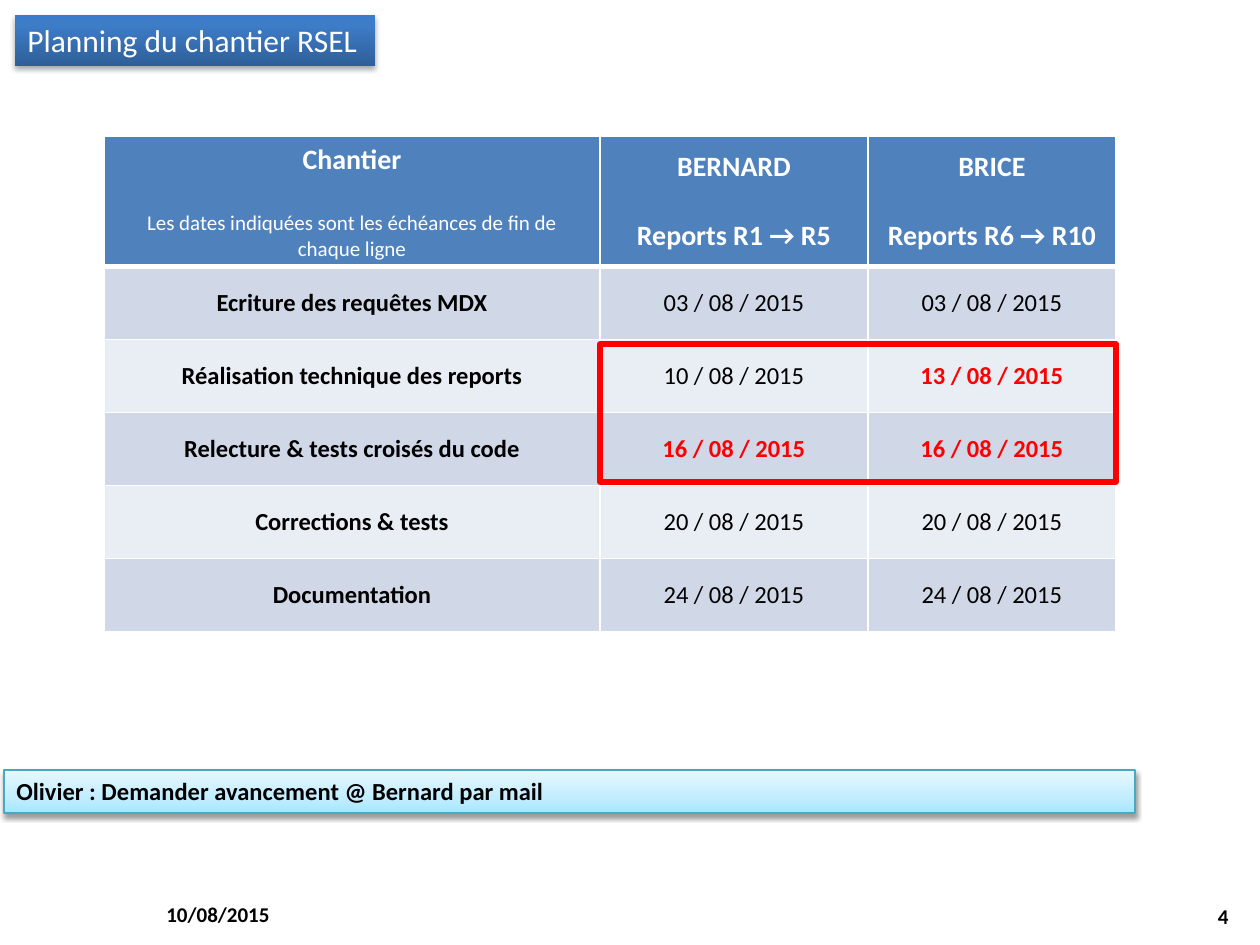
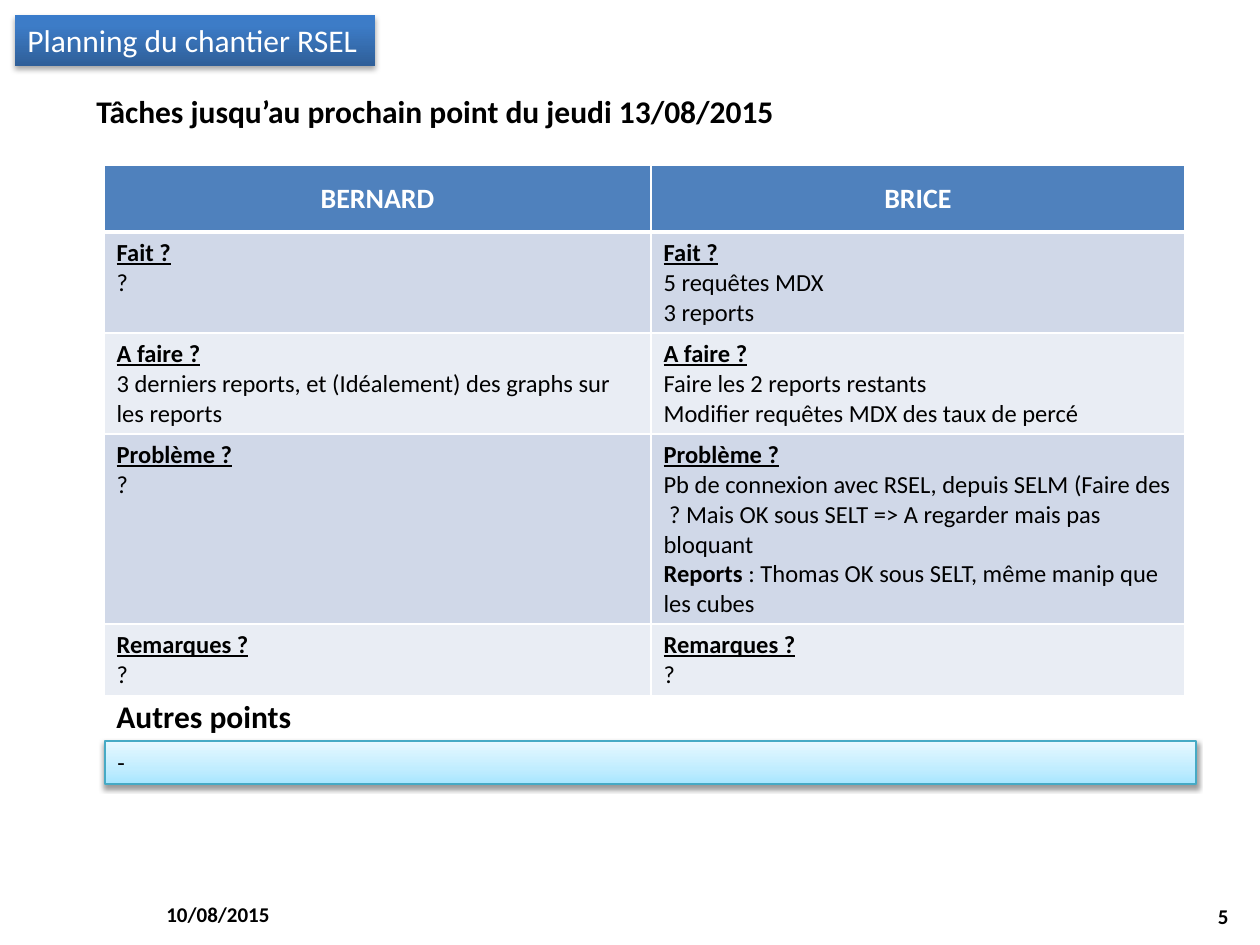
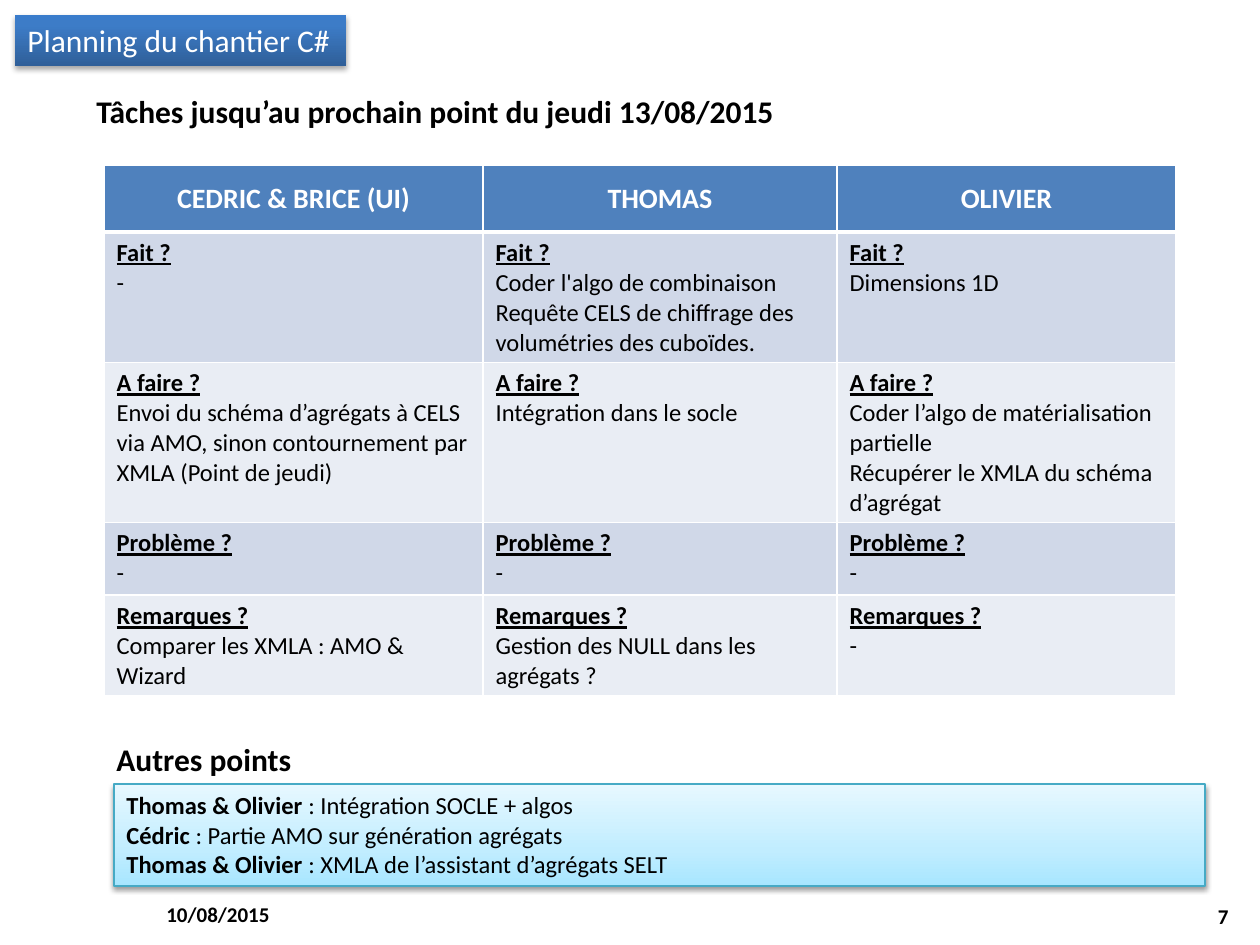
"""Build three slides that track the planning of two development sites."""
from lxml import etree
from pptx import Presentation
from pptx.dml.color import RGBColor
from pptx.enum.shapes import MSO_SHAPE
from pptx.enum.text import MSO_ANCHOR, PP_ALIGN
from pptx.oxml.ns import qn
from pptx.util import Emu, Pt

PX = 914400 / 126
FONT = "Calibri"
RECT = MSO_SHAPE.RECTANGLE
LEFT, CENTER, RIGHT = PP_ALIGN.LEFT, PP_ALIGN.CENTER, PP_ALIGN.RIGHT
TOP, MIDDLE = MSO_ANCHOR.TOP, MSO_ANCHOR.MIDDLE

BLACK = RGBColor(0x00, 0x00, 0x00)
WHITE = RGBColor(0xFF, 0xFF, 0xFF)
RED = RGBColor(0xFF, 0x00, 0x00)
HEADER_BLUE = RGBColor(0x4F, 0x81, 0xBD)
BANDS = (RGBColor(0xD0, 0xD8, 0xE8), RGBColor(0xE9, 0xED, 0xF4))
NOTE_LINE = RGBColor(0x46, 0xAA, 0xC5)
TITLE_STOPS = ((0, RGBColor(0x2F, 0x5F, 0x99)), (80, RGBColor(0x3D, 0x7C, 0xC7)),
               (100, RGBColor(0x3A, 0x7C, 0xCB)))
NOTE_STOPS = ((0, RGBColor(0xA7, 0xE6, 0xFF)), (35, RGBColor(0xC1, 0xED, 0xFF)),
              (100, RGBColor(0xE7, 0xF8, 0xFF)))

DATE = "10/08/2015"
NEXT_POINT = "Tâches jusqu’au prochain point du jeudi 13/08/2015"
REPORT_TITLE = "Planning du chantier RSEL"
TOPICS = ("Fait ?", "A faire ?", "Problème ?", "Remarques ?")

DEADLINES = (
    ("Ecriture des requêtes MDX", "03 / 08 / 2015", "03 / 08 / 2015"),
    ("Réalisation technique des reports", "10 / 08 / 2015", "13 / 08 / 2015"),
    ("Relecture & tests croisés du code", "16 / 08 / 2015", "16 / 08 / 2015"),
    ("Corrections & tests", "20 / 08 / 2015", "20 / 08 / 2015"),
    ("Documentation", "24 / 08 / 2015", "24 / 08 / 2015"),
)
LATE = ("13 / 08 / 2015", "16 / 08 / 2015")

REPORT_TASKS = (
    (["?"], ["5 requêtes MDX", "3 reports"]),
    (["3 derniers reports, et (Idéalement) des graphs sur les reports"],
     ["Faire les 2 reports restants", "Modifier requêtes MDX des taux de percé"]),
    (["?"],
     ["Pb de connexion avec RSEL, depuis SELM (Faire des  ? Mais OK sous SELT => "
      "A regarder mais pas bloquant",
      ("Reports", " : Thomas OK sous SELT, même manip que les cubes")]),
    (["?"], ["?"]),
)
CODE_TASKS = (
    (["-"],
     ["Coder l'algo de combinaison",
      "Requête CELS de chiffrage des volumétries des cuboïdes."],
     ["Dimensions 1D"]),
    (["Envoi du schéma d’agrégats à CELS via AMO, sinon contournement par XMLA "
      "(Point de jeudi)"],
     ["Intégration dans le socle"],
     ["Coder l’algo de matérialisation partielle",
      "Récupérer le XMLA du schéma d’agrégat"]),
    (["-"], ["-"], ["-"]),
    (["Comparer les XMLA : AMO & Wizard"],
     ["Gestion des NULL dans les agrégats ?"], ["-"]),
)
CODE_NOTES = [
    ("Thomas & Olivier ", ": Intégration SOCLE + algos"),
    ("Cédric", " : Partie AMO sur génération agrégats"),
    ("Thomas & Olivier ", ": XMLA de l’assistant d’agrégats SELT"),
]


def px(*lengths):
    """Turn px lengths into EMU."""
    return [Emu(round(n * PX)) for n in lengths]


def write(tf, lines, size, color=BLACK, bold=False, align=LEFT, anchor=TOP):
    """Fill a text frame; a (lead, rest) line gets a bold lead."""
    tf.vertical_anchor = anchor
    for i, line in enumerate(lines):
        p = tf.add_paragraph() if i else tf.paragraphs[0]
        p.alignment = align
        p.font.name = FONT
        p.font.size = Pt(size)
        p.font.color.rgb = color
        if isinstance(line, str):
            p.add_run().text = line
            p.font.bold = bold
        else:
            for text, strong in zip(line, (True, False)):
                r = p.add_run()
                r.text = text
                r.font.bold = strong


def add_text(s, box, text, size, align=LEFT, anchor=TOP):
    """Add a bold one-line text box."""
    tf = s.shapes.add_textbox(*px(*box)).text_frame
    tf.word_wrap = False
    write(tf, [text], size, bold=True, align=align, anchor=anchor)


def add_glossy_box(s, box, stops, shadow_alpha):
    """Add a rectangle with an upward gradient and a soft shadow."""
    sp = s.shapes.add_shape(RECT, *px(*box))
    sp.fill.gradient()
    sp.fill.gradient_angle = 90
    gs_list = sp._element.spPr.find(qn("a:gradFill")).find(qn("a:gsLst"))
    for gs in list(gs_list):
        gs_list.remove(gs)
    for pos, color in stops:
        gs = etree.SubElement(gs_list, qn("a:gs"), pos=str(pos * 1000))
        etree.SubElement(gs, qn("a:srgbClr"), val=str(color))
    sp.line.fill.background()
    sp.shadow.inherit = False
    effects = sp._element.spPr.find(qn("a:effectLst"))
    shadow = etree.SubElement(effects, qn("a:outerShdw"), blurRad="40000",
                              dist="22000", dir="5400000", rotWithShape="0")
    color = etree.SubElement(shadow, qn("a:srgbClr"), val=str(BLACK))
    etree.SubElement(color, qn("a:alpha"), val=str(shadow_alpha * 1000))
    return sp


def add_note(s, box, lines, bold=False):
    """Add a pale blue note box."""
    sp = add_glossy_box(s, box, NOTE_STOPS, 38)
    sp.line.color.rgb = NOTE_LINE
    sp.line.width = Pt(0.75)
    sp.text_frame.word_wrap = True
    write(sp.text_frame, lines, 14, bold=bold)


def add_other_points(s, left, top, height, lines):
    """Add the heading of the other points and the note below it."""
    add_text(s, (104, top, 202, 50), "Autres points", 18)
    add_note(s, (left, top + 50, 1091, height), lines)


def add_frame(s, box):
    """Add a red outline around the late dates."""
    sp = s.shapes.add_shape(RECT, *px(*box))
    sp.fill.background()
    sp.line.color.rgb = RED
    sp.line.width = Pt(3)
    sp.shadow.inherit = False


def set_borders(cell, top, bottom):
    """Give a cell white borders, in points."""
    tc_pr = cell._tc.get_or_add_tcPr()
    widths = (("a:lnL", 1), ("a:lnR", 1), ("a:lnT", top), ("a:lnB", bottom))
    for i, (tag, width) in enumerate(widths):
        ln = etree.Element(qn(tag), w=str(Pt(width)))
        fill = etree.SubElement(ln, qn("a:solidFill"))
        etree.SubElement(fill, qn("a:srgbClr"), val=str(WHITE))
        tc_pr.insert(i, ln)


def add_grid(s, top, widths, heights, headers):
    """Add a banded table with its header row and return it."""
    box = px(104, top, sum(widths), sum(heights))
    table = s.shapes.add_table(len(heights), len(widths), *box).table
    for col, width in zip(table.columns, px(*widths)):
        col.width = width
    for i, (row, height) in enumerate(zip(table.rows, px(*heights))):
        row.height = height
        for cell in row.cells:
            cell.fill.solid()
            cell.fill.fore_color.rgb = BANDS[(i - 1) % 2] if i else HEADER_BLUE
            set_borders(cell, 3 if i == 1 else 1, 1 if i else 3)
    for cell, lines in zip(table.rows[0].cells, headers):
        write(cell.text_frame, lines, 16, WHITE, True, CENTER)
        cell.vertical_anchor = MIDDLE
    return table


def add_deadlines(s):
    """Add the table of deadlines for each step."""
    headers = (["Chantier", "Les dates indiquées sont les échéances de fin de chaque ligne"],
               ["BERNARD", "Reports R1 → R5"], ["BRICE", "Reports R6 → R10"])
    table = add_grid(s, 136, (496, 268, 248), [129] + [73] * 5, headers)
    for cell in table.rows[0].cells:
        cell.text_frame.paragraphs[1].space_before = Pt(19.5)
    hint = table.cell(0, 0).text_frame.paragraphs[1]
    hint.font.size = Pt(12)
    hint.font.bold = False
    for i, values in enumerate(DEADLINES, 1):
        for j, text in enumerate(values):
            cell = table.cell(i, j)
            late = text in LATE
            write(cell.text_frame, [text], 14, RED if late else BLACK, late or j == 0, CENTER)
            cell.vertical_anchor = MIDDLE


def add_tasks(s, names, widths, heights, tasks):
    """Add the heading and the table of tasks for each person."""
    add_text(s, (84, 86, 709, 50), NEXT_POINT, 18)
    table = add_grid(s, 165, widths, heights, [[name] for name in names])
    for i, (topic, row) in enumerate(zip(TOPICS, tasks), 1):
        for j, lines in enumerate(row):
            tf = table.cell(i, j).text_frame
            write(tf, [topic] + lines, 14)
            tf.paragraphs[0].font.bold = True
            tf.paragraphs[0].font.underline = True


def add_slide(prs, title, title_width, number):
    """Add a slide with its footer and title band."""
    s = prs.slides.add_slide(prs.slide_layouts[6])
    add_text(s, (154, 889, 294, 50), DATE, 12, anchor=MIDDLE)
    add_text(s, (947, 891, 294, 50), str(number), 12, RIGHT, MIDDLE)
    sp = add_glossy_box(s, (15, 15, title_width, 51), TITLE_STOPS, 35)
    sp.text_frame.word_wrap = False
    write(sp.text_frame, [title], 18, WHITE)
    return s


def main():
    """Build and save the slides."""
    prs = Presentation()
    prs.slide_width, prs.slide_height = px(1260, 945)

    s = add_slide(prs, REPORT_TITLE, 360, 4)
    add_deadlines(s)
    add_frame(s, (600, 344, 516, 138))
    add_note(s, (4, 770, 1131, 43), ["Olivier : Demander avancement @ Bernard par mail"], True)

    s = add_slide(prs, REPORT_TITLE, 360, 5)
    add_tasks(s, ("BERNARD", "BRICE"), (547, 534), (67, 101, 101, 190, 72), REPORT_TASKS)
    add_other_points(s, 105, 691, 43, ["-"])

    s = add_slide(prs, "Planning du chantier C#", 331, 7)
    add_tasks(s, ("CEDRIC & BRICE (UI)", "THOMAS", "OLIVIER"), (379, 354, 339),
              (67, 130, 160, 73, 101), CODE_TASKS)
    add_other_points(s, 114, 734, 102, CODE_NOTES)

    prs.save("out.pptx")


if __name__ == "__main__":
    main()
